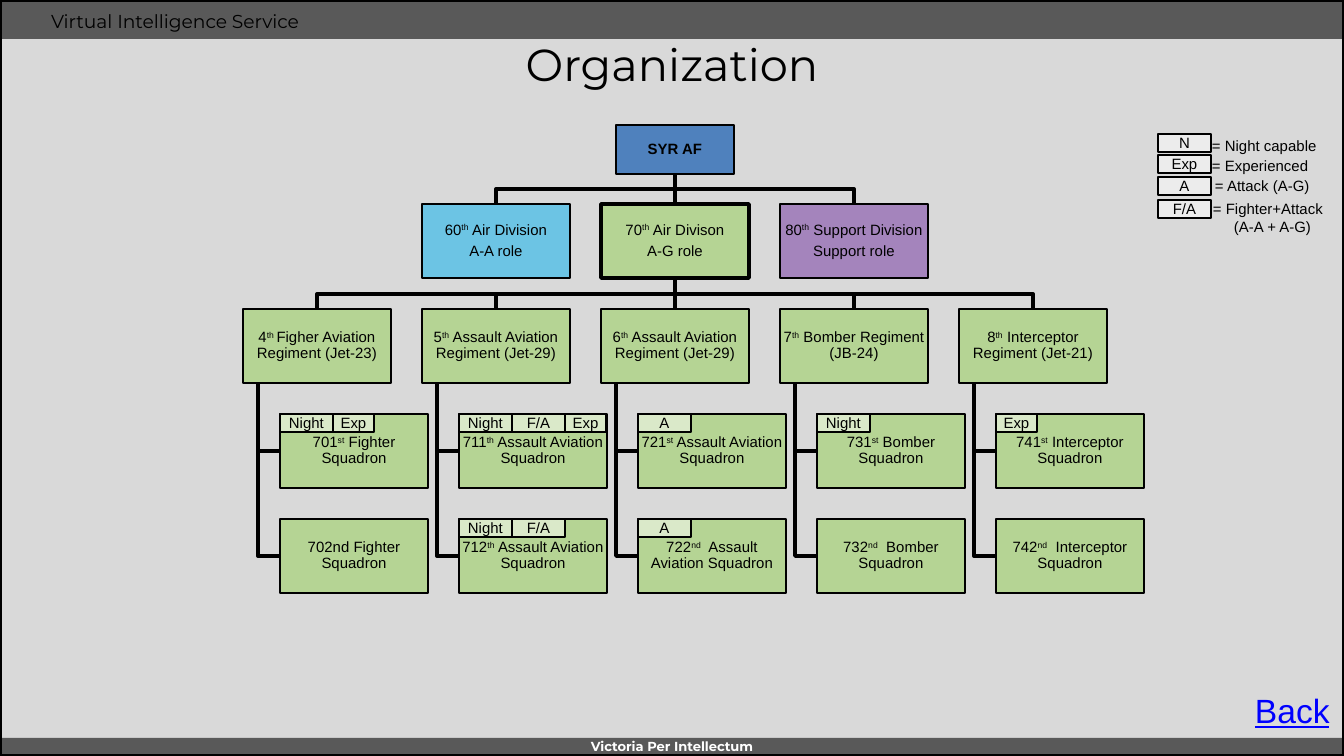
"""Build a one-slide organization chart of an air force."""
import lxml.etree
import pptx
import pptx.chart.data
import pptx.dml.color
import pptx.enum.shapes
import pptx.enum.text
import pptx.oxml.ns
import pptx.util

RGB = pptx.dml.color.RGBColor
BLACK, WHITE = RGB(0, 0, 0), RGB(255, 255, 255)
BACK, BAR = RGB(0xD9, 0xD9, 0xD9), RGB(0x59, 0x59, 0x59)
BLUE, SKY = RGB(0x4F, 0x81, 0xBD), RGB(0x00, 0xB0, 0xF0)
GREEN, PLUM = RGB(0x92, 0xD0, 0x50), RGB(0x70, 0x30, 0xA0)
LINK = RGB(0, 0, 255)

ROOT = "SYR AF"
UNITS = [
    (1, "60^th^ Air Division\nA-A role", SKY, 1),
    (2, "70^th^ Air Divison\nA-G role", GREEN, 2),
    (3, "80^th^ Support Division\nSupport role", PLUM, 1),
]
WINGS = [
    ("4^th ^Figher Aviation Regiment (Jet-23)",
     [("701^st^ Fighter Squadron", ["Night", "Exp"]),
      ("702nd Fighter Squadron", [])]),
    ("5^th^ Assault Aviation Regiment (Jet-29)",
     [("711^th^ Assault Aviation Squadron", ["Night", "F/A", "Exp"]),
      ("712^th^ Assault Aviation Squadron", ["Night", "F/A"])]),
    ("6^th^ Assault Aviation Regiment (Jet-29)",
     [("721^st^ Assault Aviation Squadron", ["A"]),
      ("722^nd^  Assault Aviation Squadron", ["A"])]),
    ("7^th^ Bomber Regiment (JB-24)",
     [("731^st^ Bomber Squadron", ["Night"]),
      ("732^nd^  Bomber Squadron", [])]),
    ("8^th^ Interceptor Regiment (Jet-21)",
     [("741^st^ Interceptor Squadron", ["Exp"]),
      ("742^nd^  Interceptor Squadron", [])]),
]
KEYS = [
    ("N", 134, "= Night capable", 1207, 132),
    ("Exp", 155, "= Experienced", 1207, 152),
    ("A", 177, "= Attack (A-G)", 1210, 172),
    ("F/A", 200, "= Fighter+Attack\n(A-A + A-G)", 1208, 195),
]

WIDE, HIGH = 1344, 756
LEFT, STEP, TOP, DROP = 243, 179, 204, 105
BOX_W, BOX_H, SHIFT, STEM = 148, 74, 37, 15
TAG_W, EXP_W, TAG_H = 53, 41, 18
MID = LEFT + 2 * STEP + BOX_W // 2
SCALE = 914400 / 134.4

LEFT_AL = pptx.enum.text.PP_ALIGN.LEFT
CENTER = pptx.enum.text.PP_ALIGN.CENTER
UPPER = pptx.enum.text.MSO_ANCHOR.TOP
MIDDLE = pptx.enum.text.MSO_ANCHOR.MIDDLE


def emu(*nums):
    return [pptx.util.Emu(round(n * SCALE)) for n in nums]


def write(shape, text, size=8, font="Arial", color=BLACK, bold=False, under=False,
          align=CENTER, anchor=MIDDLE, inset=(1, 1), wrap=True, space=None, indent=0):
    frame = shape.text_frame
    frame.word_wrap = wrap
    frame.auto_size = pptx.enum.text.MSO_AUTO_SIZE.NONE
    frame.vertical_anchor = anchor
    side, end = emu(*inset)
    frame.margin_left = frame.margin_right = side
    frame.margin_top = frame.margin_bottom = end
    for i, row in enumerate(text.split("\n")):
        para = frame.add_paragraph() if i else frame.paragraphs[0]
        para.alignment = align
        if space:
            para.line_spacing, para.space_after = space
        if i and indent:
            para._p.get_or_add_pPr().set("marL", str(emu(indent)[0]))
        for j, part in enumerate(row.split("^")):
            run = para.add_run()
            run.text = part
            run.font.size = pptx.util.Pt(size)
            run.font.name = font
            run.font.bold = bold
            run.font.underline = under
            run.font.color.rgb = color
            if j % 2:
                run.font._element.set("baseline", "30000")


def block(x, y, w, h, fill=None, line=None, alpha=None):
    shape = slide.shapes.add_shape(pptx.enum.shapes.MSO_SHAPE.RECTANGLE, *emu(x, y, w, h))
    shape.shadow.inherit = False
    if fill is None:
        shape.fill.background()
    else:
        shape.fill.solid()
        shape.fill.fore_color.rgb = fill
    if alpha:
        tone = shape._element.spPr.find(pptx.oxml.ns.qn("a:solidFill"))[0]
        lxml.etree.SubElement(tone, pptx.oxml.ns.qn("a:alpha"), val=str(alpha * 1000))
    if line:
        shape.line.color.rgb = BLACK
        shape.line.width = pptx.util.Pt(line)
    else:
        shape.line.fill.background()
    return shape


def label(x, y, w, h, text, **form):
    write(slide.shapes.add_textbox(*emu(x, y, w, h)), text, **form)


def node(x, y, text, fill=GREEN, line=1):
    write(block(x, y, BOX_W, BOX_H, fill, line, 50), text, space=(0.9, pptx.util.Pt(2.8)))


def tag(x, y, text, w):
    write(block(x, y, w, TAG_H, WHITE, 0.75, 50), text, anchor=UPPER, inset=(5, 0))


def wire(*points):
    if len(points) == 2:
        kind = pptx.enum.shapes.MSO_CONNECTOR.STRAIGHT
        shape = slide.shapes.add_connector(kind, *emu(*points[0], *points[1]))
        lxml.etree.SubElement(shape._element.spPr, pptx.oxml.ns.qn("a:effectLst"))
    else:
        path = slide.shapes.build_freeform(*points[0], scale=SCALE)
        path.add_line_segments(points[1:], close=False)
        shape = path.convert_to_shape()
        shape.shadow.inherit = False
        shape.fill.background()
    shape.line.color.rgb = BLACK
    shape.line.width = pptx.util.Pt(2)


def branch(top, end, x):
    bend = end - 15
    if x == MID:
        wire((MID, top), (MID, end))
    else:
        wire((MID, top), (MID, bend), (x, bend), (x, end))


deck = pptx.Presentation()
deck.slide_width, deck.slide_height = emu(WIDE, HIGH)
slide = deck.slides.add_slide(deck.slide_layouts[5])
slide.background.fill.solid()
slide.background.fill.fore_color.rgb = BACK

block(0, 0, WIDE, 39, BAR)
block(0, 738, WIDE, 18, BAR)
label(38, 3, 922, 36, "Virtual Intelligence Service", size=10, font="Montserrat",
      align=LEFT_AL, anchor=UPPER, inset=(13, 7))
label(0, 739, WIDE, 16, "Victoria Per Intellectum", size=7, font="Montserrat",
      color=WHITE, bold=True, anchor=UPPER, inset=(0, 0))
block(0, 0, WIDE, HIGH, line=2)

title = slide.shapes.title
title.left, title.top, title.width, title.height = emu(0, 43, WIDE, 42)
write(title, "Organization", size=24, font="Montserrat", inset=(13, 7))
label(1242, 683, 102, 54, "Back", size=18, color=LINK, under=True,
      align=LEFT_AL, anchor=UPPER, inset=(13, 7), wrap=False)

rows = [TOP + DROP * i for i in range(4)]
cols = [LEFT + STEP * i for i in range(len(WINGS))]
for col, *rest in UNITS:
    branch(174, rows[0], cols[col] + BOX_W // 2)
for x in cols:
    branch(rows[0] + BOX_H, rows[1], x + BOX_W // 2)
    for y in rows[2:]:
        bend = y + BOX_H // 2
        wire((x + STEM, rows[1] + BOX_H), (x + STEM, bend), (x + SHIFT, bend))

write(block(MID - 59, 125, 118, 49, BLUE, 1), ROOT, bold=True,
      space=(0.9, pptx.util.Pt(2.8)))
for col, text, fill, line in UNITS:
    node(cols[col], rows[0], text, fill, line)
for x, (wing, squads) in zip(cols, WINGS):
    node(x, rows[1], wing)
    for y, (squad, tags) in zip(rows[2:], squads):
        node(x + SHIFT, y, squad)
        spot = x + SHIFT
        for name in tags:
            width = EXP_W if name == "Exp" else TAG_W
            tag(spot, y, name, width)
            spot += width

for name, y, text, x, top in KEYS:
    tag(1158, y, name, TAG_W)
    label(x, top, 132, 28 + 18 * text.count("\n"), text, align=LEFT_AL, anchor=UPPER,
          inset=(5, 5), indent=21)

deck.save("out.pptx")
